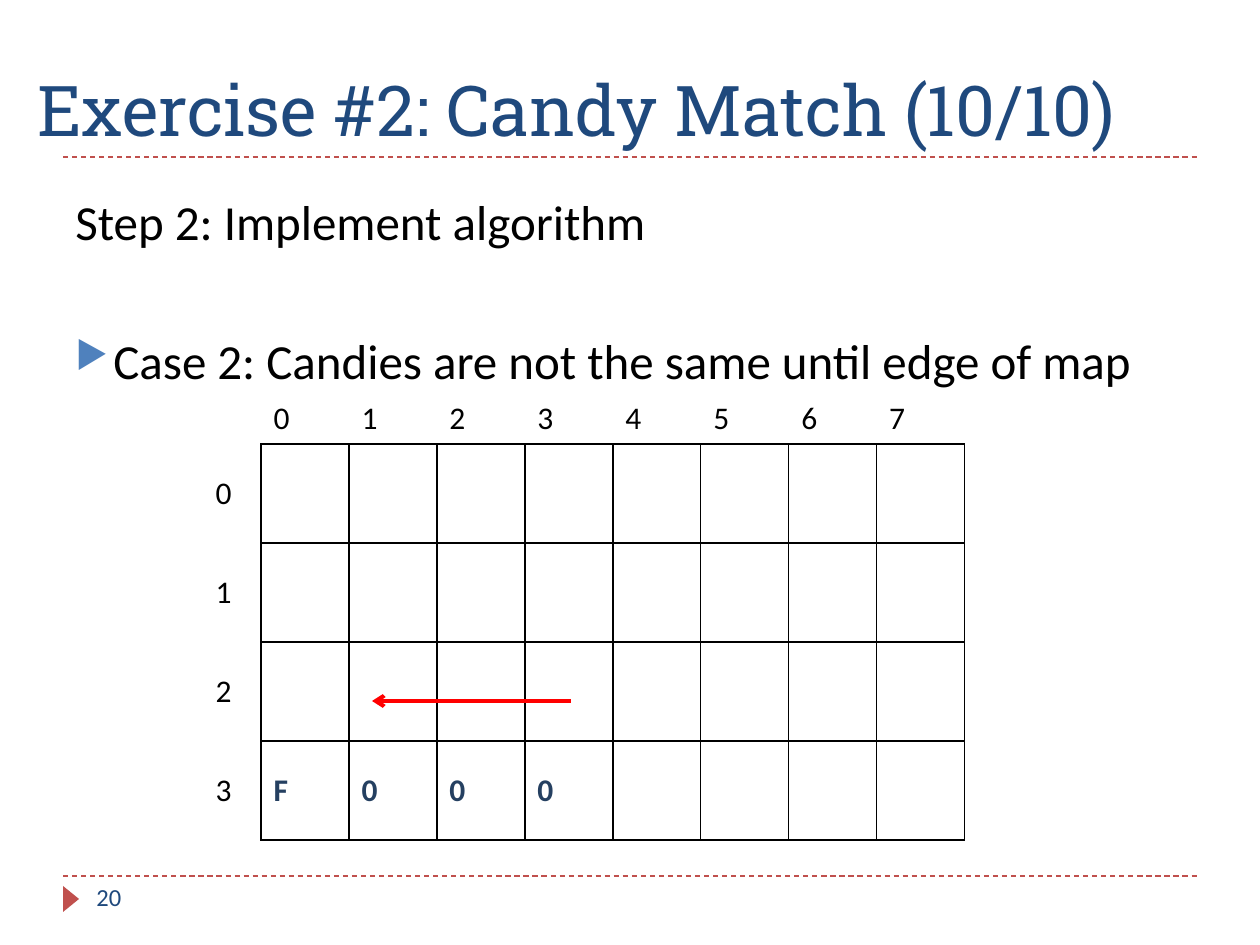
from lxml import etree
from pptx import Presentation
from pptx import util as u
from pptx.dml.color import RGBColor
from pptx.enum import dml, shapes, text
from pptx.oxml import ns

BLACK = RGBColor(0x00, 0x00, 0x00)
WHITE = RGBColor(0xFF, 0xFF, 0xFF)
NAVY = RGBColor(0x1F, 0x49, 0x7D)
DARK_NAVY = RGBColor(0x25, 0x40, 0x61)
BLUE = RGBColor(0x4F, 0x81, 0xBD)
BRICK = RGBColor(0xC0, 0x50, 0x4D)
RED = RGBColor(0xFF, 0x00, 0x00)

BODY_FONT = "Calibri"
TITLE_FONT = "Roboto Slab"


def px(length):
    return u.Emu(round(length * 914400 / 126))


def child(parent, tag, **attributes):
    element = etree.SubElement(parent, ns.qn(tag))
    for name, value in attributes.items():
        element.set(name, str(value))
    return element


class SlideBuilder:
    def __init__(self, width, height):
        self.deck = Presentation()
        self.deck.slide_width, self.deck.slide_height = px(width), px(height)
        self.page = self.deck.slides.add_slide(self.deck.slide_layouts[6])

    def style(self, para, size, color=BLACK, font=BODY_FONT, bold=False):
        para.font.size = u.Pt(size)
        para.font.name = font
        para.font.bold = bold
        para.font.color.rgb = color

    def line(self, start, end, color, width, dashed=False, arrow=False):
        line = self.page.shapes.add_connector(
            shapes.MSO_CONNECTOR.STRAIGHT, *map(px, start + end))
        line.line.color.rgb = color
        line.line.width = u.Pt(width)
        if dashed:
            line.line.dash_style = dml.MSO_LINE.DASH
        if arrow:
            child(line.line._get_or_add_ln(), "a:tailEnd", type="arrow")
        child(line._element.spPr, "a:effectLst")

    def triangle(self, left, top, width, height, color):
        marker = self.page.shapes.add_shape(
            shapes.MSO_SHAPE.ISOSCELES_TRIANGLE, *map(px, (left, top, width, height)))
        marker.rotation = 90
        marker.shadow.inherit = False
        marker.fill.solid()
        marker.fill.fore_color.rgb = color
        marker.line.fill.background()

    def text(self, left, top, width, height, lines, anchor=text.MSO_ANCHOR.TOP, **style):
        box = self.page.shapes.add_textbox(*map(px, (left, top, width, height)))
        frame = box.text_frame
        frame.word_wrap = True
        frame.vertical_anchor = anchor
        for index, words in enumerate(lines):
            para = frame.paragraphs[0] if index == 0 else frame.add_paragraph()
            para.text = words
            self.style(para, **style)
        return frame

    def bullet(self, para, mark, color, percent, indent):
        properties = para._p.get_or_add_pPr()
        properties.set("marL", str(px(indent)))
        properties.set("indent", str(-px(indent)))
        # Bullet elements stand before the font defaults
        defaults = properties.find(ns.qn("a:defRPr"))
        child(child(properties, "a:buClr"), "a:srgbClr", val=color)
        child(properties, "a:buSzPct", val=percent * 1000)
        child(properties, "a:buChar", char=mark)
        properties.append(defaults)

    def borders(self, cell, sides):
        properties = cell._tc.get_or_add_tcPr()
        for side in "LRTB":
            edge = child(properties, f"a:ln{side}", w=u.Pt(1))
            if side in sides:
                child(child(edge, "a:solidFill"), "a:srgbClr", val=BLACK)
            else:
                child(edge, "a:noFill")

    def grid(self, left, top, widths, heights, rows):
        frame = self.page.shapes.add_table(
            len(heights), len(widths), px(left), px(top), px(sum(widths)), px(sum(heights)))
        table = frame.table
        table.first_row = table.horz_banding = False
        for column, width in zip(table.columns, widths):
            column.width = px(width)
        for row, height in zip(table.rows, heights):
            row.height = px(height)
        for r, values in enumerate(rows):
            for c, value in enumerate(values):
                cell = table.cell(r, c)
                # Index cells carry only the edge they share with the map
                if r and c:
                    sides = "LRTB"
                else:
                    sides = "B" if c else "R" if r else ""
                self.borders(cell, sides)
                cell.fill.solid()
                cell.fill.fore_color.rgb = WHITE
                cell.vertical_anchor = text.MSO_ANCHOR.MIDDLE
                para = cell.text_frame.paragraphs[0]
                para.text = value
                para.alignment = text.PP_ALIGN.JUSTIFY
                on_map = bool(r and c)
                self.style(para, 18, DARK_NAVY if on_map else BLACK, bold=on_map)


def main():
    slide = SlideBuilder(1260, 945)

    # Rules and page marker
    for y in (876, 157):
        slide.line((63, y), (1197, y), BRICK, 0.75, dashed=True)
    slide.triangle(58, 891, 26, 16, BRICK)

    # Candy map with row and column indexes
    columns, rows = 8, 4
    candies = [[""] * columns for _ in range(rows)]
    candies[3][:4] = ["F", "0", "0", "0"]
    header = ["", *map(str, range(columns))]
    body = [[str(index), *values] for index, values in enumerate(candies)]
    slide.grid(203, 393, [58] + [88] * columns, [50] + [99] * rows, [header] + body)

    # Title
    slide.text(25, 21, 1221, 136, ["Exercise #2: Candy Match (10/10)"],
               anchor=text.MSO_ANCHOR.BOTTOM, size=40, color=NAVY, font=TITLE_FONT)

    # Step and case
    steps = slide.text(63, 185, 1134, 664, [
        "Step 2: Implement algorithm",
        "Case 2: Candies are not the same until edge of map",
    ], size=28)
    case = steps.paragraphs[1]
    case.space_before = u.Pt(46)
    slide.bullet(case, "▶", BLUE, 76, indent=38)

    # Page number
    slide.text(84, 876, 273, 50, ["20"], size=14, color=NAVY)

    # Search direction
    slide.line((571, 701), (372, 701), RED, 2.25, arrow=True)

    slide.deck.save("out.pptx")


if __name__ == "__main__":
    main()
